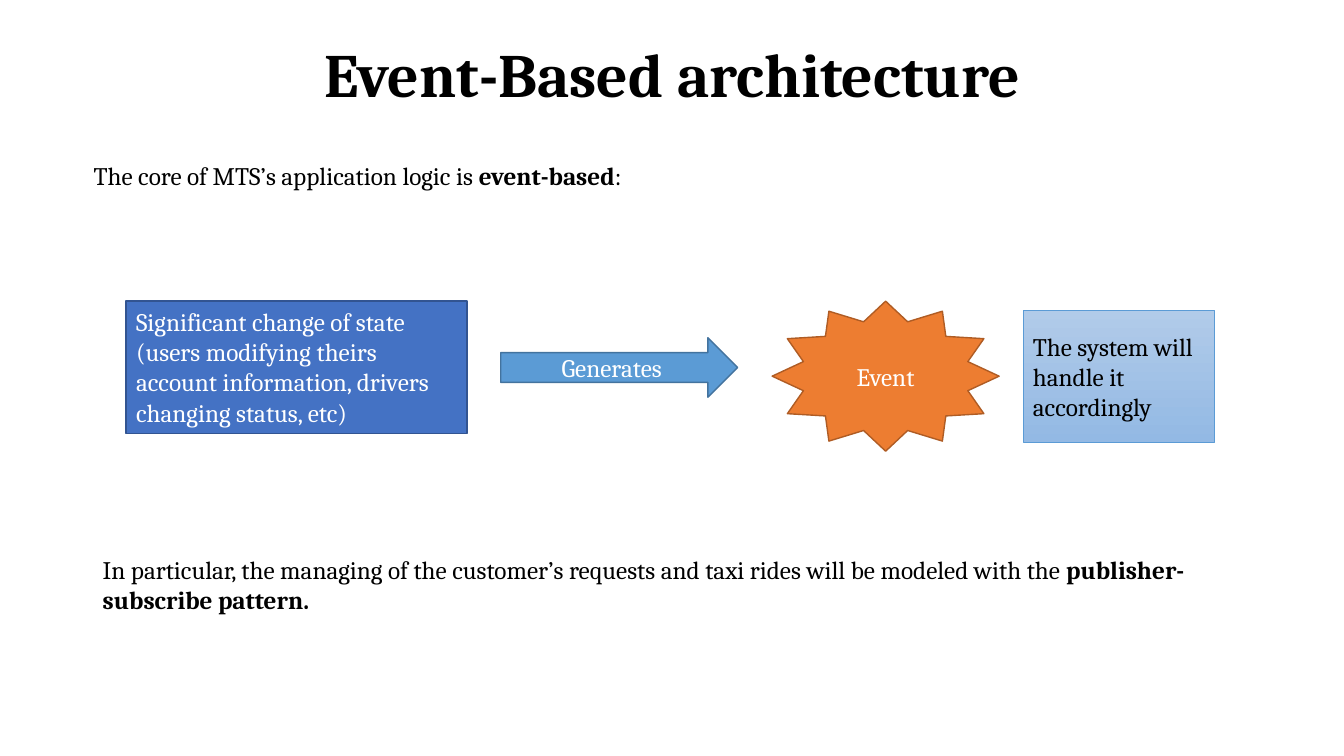
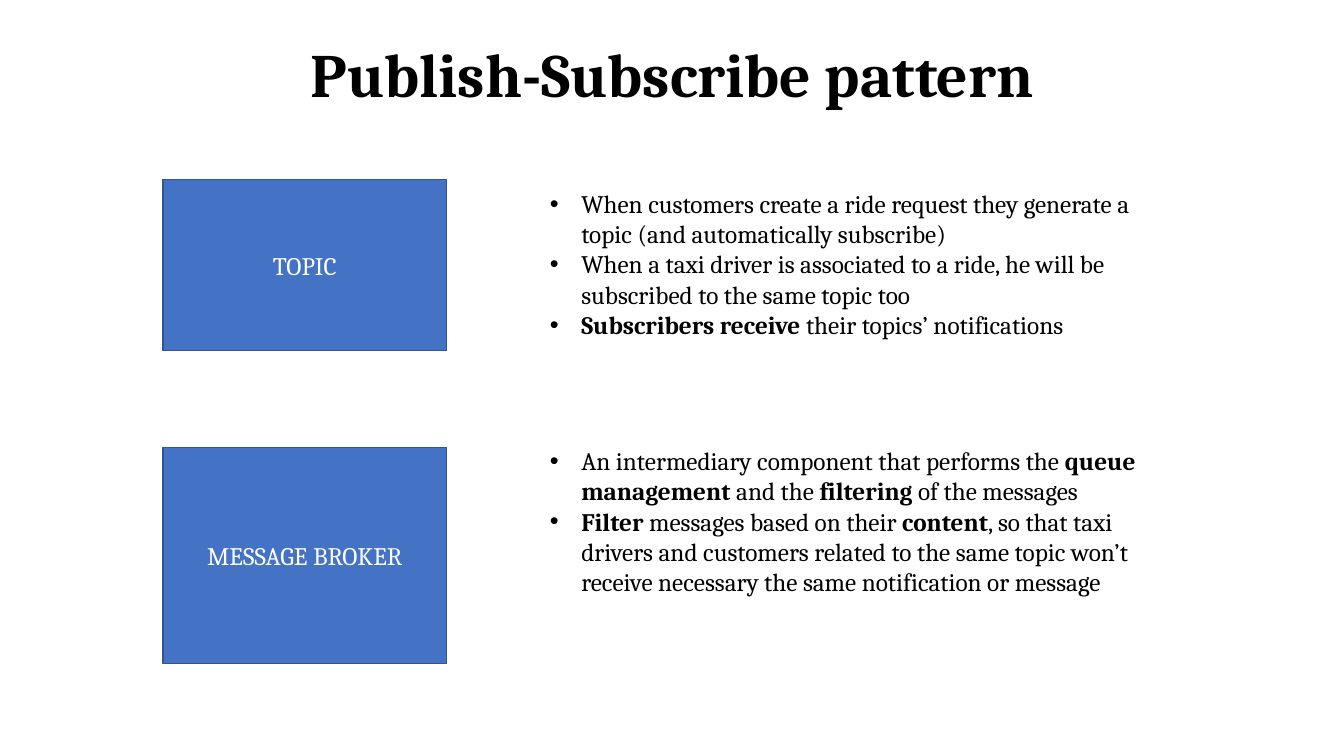
from lxml.etree import SubElement
from pptx import Presentation
from pptx.dml.color import RGBColor
from pptx.enum.shapes import MSO_SHAPE
from pptx.enum.text import MSO_ANCHOR, PP_ALIGN
from pptx.oxml.ns import qn
from pptx.util import Cm, Pt

# Shared style
COLORS = {"black": "000000", "white": "FFFFFF", "blue": "4472C4", "blue_line": "325491",
          "sky": "5B9BD5", "sky_line": "43739E", "orange": "ED7D31", "orange_line": "AF5C24",
          "pale_top": "B1CBE9", "pale_bottom": "93B9E4"}
RGB = {name: RGBColor.from_string(value) for name, value in COLORS.items()}
TITLE = {"size": 44, "align": PP_ALIGN.CENTER, "spacing": 0.9}
LABEL = {"color": "white", "align": PP_ALIGN.CENTER, "anchor": MSO_ANCHOR.MIDDLE}
INDENT = Cm(0.79)

prs = Presentation()
prs.slide_width, prs.slide_height = Cm(33.87), Cm(19.05)


def write(sp, paragraphs, size=18, color="black", align=PP_ALIGN.LEFT,
          anchor=MSO_ANCHOR.TOP, spacing=None, bullets=False):
    """Fill a shape with paragraphs; text between ** marks is bold."""
    tf = sp.text_frame
    tf.word_wrap, tf.vertical_anchor = True, anchor
    for i, text in enumerate(paragraphs):
        p = tf.add_paragraph() if i else tf.paragraphs[0]
        p.alignment, p.line_spacing = align, spacing
        if bullets:
            pPr = p._p.get_or_add_pPr()
            pPr.set("marL", str(INDENT))
            pPr.set("indent", str(-INDENT))
            SubElement(pPr, qn("a:buFont"), typeface="Arial")
            SubElement(pPr, qn("a:buChar"), char="•")
        for j, part in enumerate(text.split("**")):
            if part:
                r = p.add_run()
                r.text = part
                font = {"name": "Cambria", "size": Pt(size), "bold": j % 2 == 1}
                for key, value in font.items():
                    setattr(r.font, key, value)
                r.font.color.rgb = RGB[color]


def add_block(s, kind, box, fill, line, text, width=1, **style):
    """Add a filled preset shape with its text."""
    sp = s.shapes.add_shape(kind, *map(Cm, box))
    sp.shadow.inherit = False
    if isinstance(fill, tuple):
        sp.fill.gradient()
        sp.fill.gradient_angle = 270
        for stop, name in zip(sp.fill.gradient_stops, fill):
            stop.color.rgb = RGB[name]
    else:
        sp.fill.solid()
        sp.fill.fore_color.rgb = RGB[fill]
    sp.line.color.rgb, sp.line.width = RGB[line], Pt(width)
    write(sp, [text], **style)


# Slides with their titles
slides = []
for title in ("Event-Based architecture", "Publish-Subscribe pattern"):
    s = prs.slides.add_slide(prs.slide_layouts[6])
    sp = s.shapes.add_textbox(Cm(2.34), Cm(0.99), Cm(29.21), Cm(3.68))
    write(sp, [f"**{title}**"], **TITLE)
    slides.append(s)
events, pattern = slides

# Event-based: sentences above and below the flow
for box, text in (
    ((2.11, 3.91, 22.99, 1.02), "The core of MTS’s application logic is **event-based**:"),
    ((2.34, 13.84, 28.6, 2.57), "In particular, the managing of the customer’s requests and taxi "
     "rides will be modeled with the **publisher-subscribe pattern.**"),
):
    write(events.shapes.add_textbox(*map(Cm, box)), [text])

# Event-based: flow from state change to handling
add_block(events, MSO_SHAPE.RIGHT_ARROW, (12.62, 8.51, 5.97, 1.5), "sky", "sky_line",
          "Generates", **LABEL)
add_block(events, MSO_SHAPE.RECTANGLE, (3.18, 7.59, 8.59, 3.33), "blue", "blue_line",
          "Significant change of state (users modifying theirs account information, "
          "drivers changing status, etc)", color="white")
add_block(events, MSO_SHAPE.STAR_12_POINT, (19.46, 7.59, 5.72, 3.78), "orange", "orange_line",
          "Event", **LABEL)
add_block(events, MSO_SHAPE.RECTANGLE, (25.78, 7.82, 4.83, 3.33), ("pale_top", "pale_bottom"),
          "sky", "The system will handle it accordingly", width=0.5, anchor=MSO_ANCHOR.MIDDLE)

# Publish-subscribe: one labelled block and its bullets per row
rows = [
    ("TOPIC", 4.52, 4.32, (13.61, 4.62, 16.21, 4.11), [
        "When customers create a ride request they generate a topic (and automatically subscribe)",
        "When a taxi driver is associated to a ride, he will be subscribed to the same topic too",
        "**Subscribers receive** their topics’ notifications"]),
    ("MESSAGE BROKER", 11.28, 5.44, (13.61, 11.1, 15.54, 5.79), [
        "An intermediary component that performs the **queue management **and the "
        "**filtering** of the messages",
        "**Filter **messages based on their **content**, so that taxi drivers and customers "
        "related to the same topic won’t receive necessary the same notification or message"]),
]
for label, top, height, box, points in rows:
    add_block(pattern, MSO_SHAPE.RECTANGLE, (4.11, top, 7.14, height), "blue", "blue_line",
              label, **LABEL)
    write(pattern.shapes.add_textbox(*map(Cm, box)), points, bullets=True)

prs.save("out.pptx")
